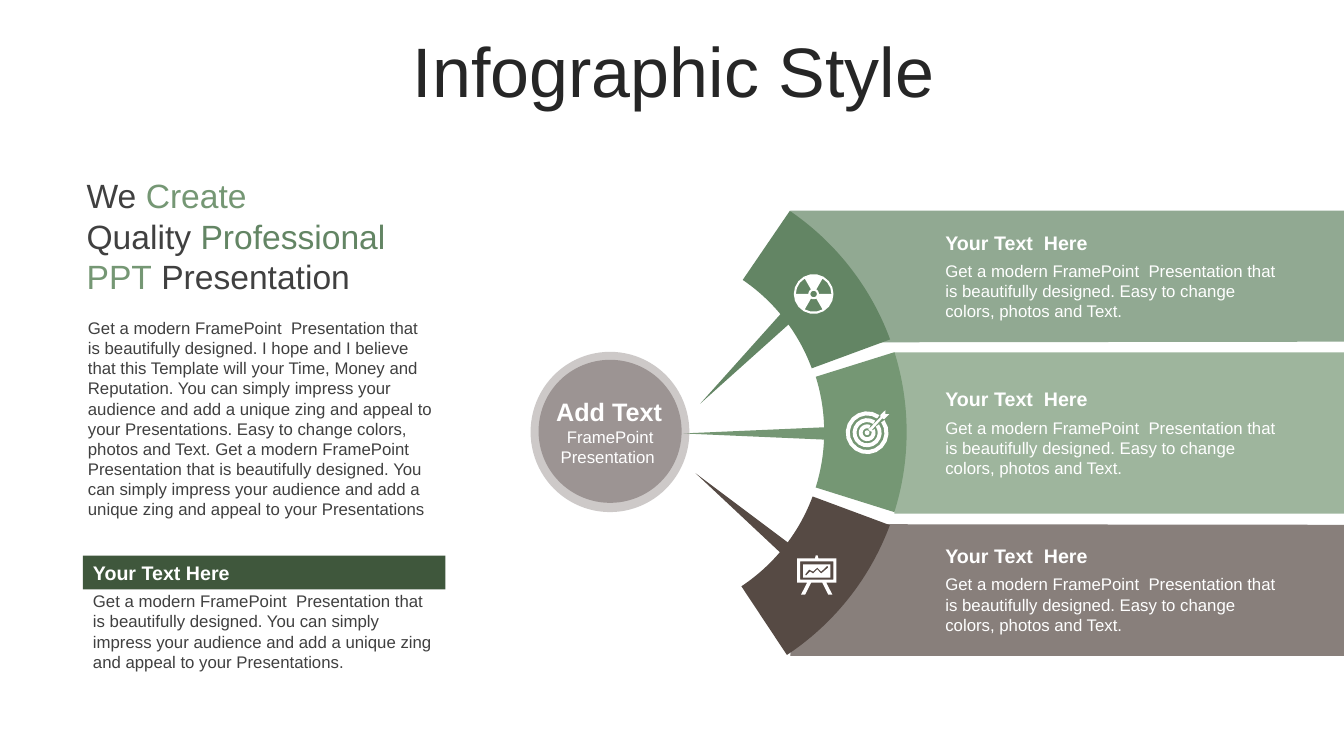
from math import cos, radians, sin

from lxml import etree
from pptx import Presentation
from pptx.dml.color import RGBColor
from pptx.enum import shapes, text
from pptx.oxml import ns
from pptx.util import Pt

GREEN, SAGE, BROWN, GREY = "638564", "759774", "564A44", "9C9493"
FOREST, INK, WHITE = "3F573C", "404040", "FFFFFF"
KIND = shapes.MSO_SHAPE

TITLE = "Infographic Style"
SLOGAN = [
    [("We ", INK), ("Create", SAGE)],
    [("Quality ", INK), ("Professional", GREEN)],
    [("PPT", SAGE), (" Presentation", INK)],
]
INTRO = (
    "Get a modern FramePoint  Presentation that is beautifully designed. "
    "I hope and I believe that this Template will your Time, Money and Reputation. "
    "You can simply impress your audience and add a unique zing and appeal to your "
    "Presentations. Easy to change colors, photos and Text. "
    "Get a modern FramePoint  Presentation that is beautifully designed. "
    "You can simply impress your audience and add a unique zing and appeal to your "
    "Presentations"
)
NOTE_HEAD = "Your Text Here"
NOTE = (
    "Get a modern FramePoint  Presentation that is beautifully designed. You can simply "
    "impress your audience and add a unique zing and appeal to your Presentations."
)
HUB_HEAD, HUB_TEXT = "Add Text", "FramePoint Presentation "
OPTION_HEAD = "Your Text  Here"
OPTION_TEXT = (
    "Get a modern FramePoint  Presentation that is beautifully designed. "
    "Easy to change colors, photos and Text."
)

# colour, arc start and end in degrees, arc thickness, pointer box, pointer rotation
OPTIONS = [
    (GREEN, 304.3, 339.77, 0.156, (526, 214.6, 9.4, 86.4), 225),
    (SAGE, 342.65, 17.43, 0.154, (537.1, 255.6, 9.4, 108), 270),
    (BROWN, 20.38, 56.44, 0.154, (525.2, 322.6, 9.4, 86.4), 310),
]
OPTION_LEFT, OPTION_TOP, OPTION_PITCH, OPTION_WIDTH = 668.2, 161.2, 111.9, 256.3
ARC_BOX = (265.3, 117.4, 382.3, 382.3)
MIDDLE_BAND = (638.9, 251.7, 321.1, 115.2)
UPPER_BAND = [(564.5, 150.5), (960, 150.5), (960, 244.1), (574.6, 244.6)]
MIRROR_Y = 309.5


def sector(inner, outer, start=0, end=360):
    """Outline of a ring segment around the origin, angles clockwise from the right."""
    steps = round((end - start) / 20)
    last = steps if end - start == 360 else steps + 1
    angles = [radians(start + (end - start) * step / steps) for step in range(last)]
    rim = [(outer * cos(a), outer * sin(a)) for a in angles]
    return rim + [(inner * cos(a), inner * sin(a)) for a in reversed(angles)] if inner else rim


def rectangle(half_width, top, bottom):
    return [(-half_width, top), (half_width, top), (half_width, bottom), (-half_width, bottom)]


EASEL_SIDE = [(0.7, -14), (1.2, -11.9), (14, -11.9), (14, 5.4), (6.8, 5.4),
              (11.2, 14), (8.3, 14), (4, 5.4)]
TREND = [(-8.3, -0.4), (-5.4, -4), (-2.5, -2.5), (0.4, -5.4), (3.2, -2.5), (7.6, -6.8),
         (8.3, -5.4), (3.2, -1.1), (0.4, -4), (-2.5, -1.1), (-4.7, -2.5), (-7.6, 0.4)]
DART = [(13, -16.1), (13, -13.2), (15.8, -13.2), (12.2, -9.6), (10.8, -10.3),
        (2.4, -0.9), (0.9, -2.3), (9.4, -11), (9.4, -12.5)]

# centre and outlines
ICONS = [
    ((581.2, 210), [sector(0, 14.2), sector(0, 2.3)]
     + [sector(3.8, 12.7, start, start + 60) for start in (60, 180, 300)]),
    ((619.4, 309.1), [sector(12.4, 15.3, -36, 305), sector(7.6, 10.4, -35, 304),
                      sector(3.2, 6, -25, 294), sector(0, 1.7), DART]),
    ((583.4, 410.8), [EASEL_SIDE + [(-x, y) for x, y in reversed(EASEL_SIDE)],
                      rectangle(11.9, -9.7, 3.2), rectangle(9.7, -7.6, 1.8), TREND]),
]


def rgb(code):
    return RGBColor.from_string(code)


def paint(shape, color, alpha=100):
    """Flat fill with an opacity in percent, no outline and no shadow."""
    shape.shadow.inherit = False
    shape.fill.solid()
    shape.fill.fore_color.rgb = rgb(color)
    shape.line.fill.background()
    if alpha < 100:
        fill_color = shape.element.spPr.find(ns.qn("a:solidFill"))[0]
        etree.SubElement(fill_color, ns.qn("a:alpha"), val=str(alpha * 1000))
    return shape


def add_preset(kind, box, color, alpha=100):
    return paint(slide.shapes.add_shape(kind, *map(Pt, box)), color, alpha)


def add_outline(outlines, color, alpha=100, center=(0, 0)):
    placed = [[(Pt(x + center[0]), Pt(y + center[1])) for x, y in points] for points in outlines]
    builder = slide.shapes.build_freeform(*placed[0][0], scale=1.0)
    for number, points in enumerate(placed):
        if number:
            builder.move_to(*points[0])
        builder.add_line_segments(points[1:], close=True)
    return paint(builder.convert_to_shape(), color, alpha)


def write(shape, lines, size, bold=False, align=text.PP_ALIGN.LEFT, anchor=text.MSO_ANCHOR.TOP):
    """Fill a shape with lines, each a list of (wording, colour) runs."""
    frame = shape.text_frame
    frame.word_wrap = True
    frame.vertical_anchor = anchor
    for number, line in enumerate(lines):
        paragraph = frame.add_paragraph() if number else frame.paragraphs[0]
        paragraph.alignment = align
        for wording, color in line:
            run = paragraph.add_run()
            run.text = wording
            run.font.name, run.font.size, run.font.bold = "Arial", Pt(size), bold
            run.font.color.rgb = rgb(color)
    return frame


def add_text(box, lines, size, **style):
    return write(slide.shapes.add_textbox(*map(Pt, box)), lines, size, **style)


deck = Presentation()
deck.slide_width, deck.slide_height = Pt(960), Pt(540)
slide = deck.slides.add_slide(deck.slide_layouts[6])
CENTER, MIDDLE = text.PP_ALIGN.CENTER, text.MSO_ANCHOR.MIDDLE

add_outline([UPPER_BAND], GREEN, 70)
add_outline([[(x, 2 * MIRROR_Y - y) for x, y in UPPER_BAND]], BROWN, 70)

title = add_text((25.5, 26.6, 911.5, 56.9), [[(TITLE, "262626")]], 50, align=CENTER, anchor=MIDDLE)
title.paragraphs[0].line_spacing = 0.8

for color, start, end, thickness, pointer_box, rotation in OPTIONS:
    arc = add_preset(KIND.BLOCK_ARC, ARC_BOX, color)
    # Angles are stored in 1/60000 degree, adjustments in 1/100000
    for index, value in enumerate((start * 0.6, end * 0.6, thickness)):
        arc.adjustments[index] = value
    add_preset(KIND.ISOSCELES_TRIANGLE, pointer_box, color).rotation = rotation

add_preset(KIND.RECTANGLE, MIDDLE_BAND, SAGE, 70)
add_preset(KIND.OVAL, (379, 251.3, 113.4, 114.5), GREY, 50)
add_preset(KIND.OVAL, (384.7, 257, 102.2, 102.2), GREY)
add_text((385.8, 279.4, 98.6, 29), [[(HUB_HEAD, WHITE)]], 18, bold=True, align=CENTER)
add_text((386.6, 301.2, 98.6, 36), [[(HUB_TEXT, WHITE)]], 12, align=CENTER)

for row, (center, outlines) in enumerate(ICONS):
    add_outline(outlines, WHITE, center=center)
    top = OPTION_TOP + row * OPTION_PITCH
    add_text((OPTION_LEFT, top + 21.6, OPTION_WIDTH, 51), [[(OPTION_TEXT, WHITE)]], 12)
    add_text((OPTION_LEFT, top, OPTION_WIDTH, 24.5), [[(OPTION_HEAD, WHITE)]], 14, bold=True)

add_text((55.7, 223.4, 260.6, 152.6), [[(INTRO, INK)]], 12)
add_text((59.3, 418.6, 260.6, 65.5), [[(NOTE, INK)]], 12)
note_bar = add_preset(KIND.RECTANGLE, (59.3, 396.9, 258.8, 24.2), FOREST)
write(note_bar, [[(NOTE_HEAD, WHITE)]], 14, bold=True)
slogan = add_text((59, 124.8, 260.6, 87.1), SLOGAN, 24, anchor=MIDDLE)
slogan.margin_left = slogan.margin_right = Pt(2.9)
slogan.margin_top = slogan.margin_bottom = 0

deck.save("out.pptx")
